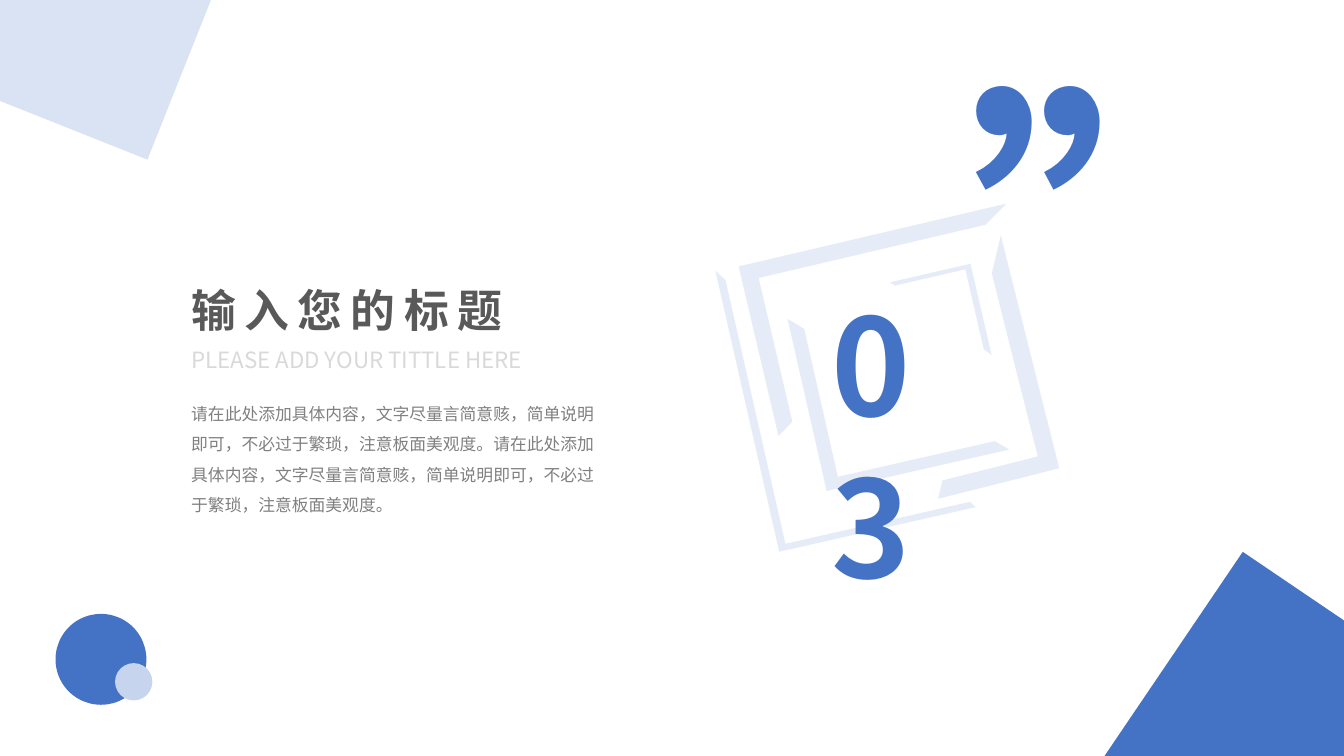
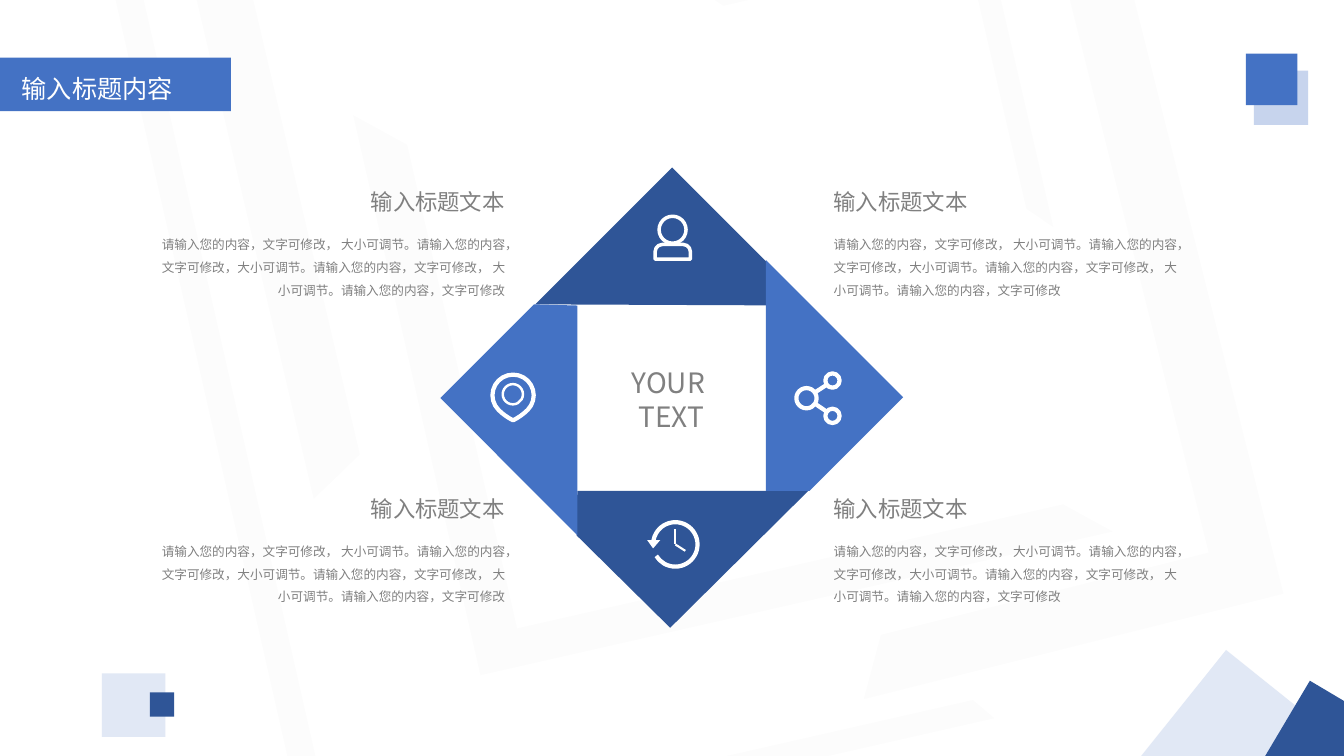
import pptx
import pptx.dml.color
import pptx.enum.shapes
import pptx.enum.text
import pptx.oxml
import pptx.oxml.ns
import pptx.util

Cm = pptx.util.Cm
Pt = pptx.util.Pt
qn = pptx.oxml.ns.qn
SHAPE = pptx.enum.shapes.MSO_SHAPE
ALIGN = pptx.enum.text.PP_ALIGN

FONT = "Noto Sans CJK SC"
BLUE = "4472C4"
NAVY = "2F5597"
PALE = "C7D4ED"
MIST = "DAE3F3"
WHITE = "FFFFFF"
GREY = "808080"


def paint(fill, color, opacity=100):
    fill.solid()
    fill.fore_color.rgb = pptx.dml.color.RGBColor.from_string(color)
    if opacity < 100:
        color_element = fill._xPr.find(qn("a:solidFill"))[0]
        alpha = pptx.oxml.parse_xml(
            f'<a:alpha {pptx.oxml.ns.nsdecls("a")} val="{opacity * 1000}"/>')
        color_element.append(alpha)


def add_text(slide, box, text, size, color, align=ALIGN.LEFT, bold=False,
             spacing=1.0, tracking=0, inset=True, rotation=0):
    shape = slide.shapes.add_textbox(*map(Cm, box))
    shape.rotation = rotation
    frame = shape.text_frame
    frame.word_wrap = True
    frame.auto_size = pptx.enum.text.MSO_AUTO_SIZE.SHAPE_TO_FIT_TEXT
    if not inset:
        frame.margin_left = frame.margin_right = 0
        frame.margin_top = frame.margin_bottom = 0
    frame.text = text
    for paragraph in frame.paragraphs:
        paragraph.alignment = align
        paragraph.line_spacing = spacing
        paragraph.font.size = Pt(size)
        paragraph.font.bold = bold
        paragraph.font.name = FONT
        paint(paragraph.font.fill, color)
        # East Asian font and letter spacing
        properties = paragraph._p.pPr.find(qn("a:defRPr"))
        properties.append(pptx.oxml.parse_xml(
            f'<a:ea {pptx.oxml.ns.nsdecls("a")} typeface="{FONT}"/>'))
        if tracking:
            properties.set("spc", str(tracking * 100))


presentation = pptx.Presentation()
presentation.slide_width = Cm(33.87)
presentation.slide_height = Cm(19.05)
blank = presentation.slide_layouts[6]
section = presentation.slides.add_slide(blank)
content = presentation.slides.add_slide(blank)

# Tilted frames: centre, size, rotation, adjustments, mirrored
FRAMES = [
    (22.64, 9.68, 4.45, 4.72, 257.2, (0.08, 0.065), False),
    (21.31, 9.80, 7.26, 5.08, 257.2, (0.039, 0.032), False),
    (23.71, 8.03, 2.36, 2.08, 77, (0.077, 0.052), False),
    (22.49, 8.06, 6.93, 4.39, 346.8, (0.091, 0.097), False),
    (24.43, 9.25, 6.05, 3.15, 75.9, (0.144, 0.134), True),
]
ORIGIN_X, ORIGIN_Y = 22.64, 9.68

# Each slide: where the origin lands, horizontal and vertical scale, colour
for slide, base_x, base_y, scale_x, scale_y, color, opacity in [
    (section, ORIGIN_X, ORIGIN_Y, 1, 1, BLUE, 13),
    (content, 18.47, 8.15, 3.46, 3.25, "A6A6A6", 3),
]:
    for x, y, width, height, rotation, adjustments, mirrored in FRAMES:
        center_x = base_x + (x - ORIGIN_X) * scale_x
        center_y = base_y + (y - ORIGIN_Y) * scale_y
        upright = 45 <= rotation % 180 < 135
        width *= scale_y if upright else scale_x
        height *= scale_x if upright else scale_y
        shape = slide.shapes.add_shape(
            SHAPE.HALF_FRAME, Cm(center_x - width / 2), Cm(center_y - height / 2),
            Cm(width), Cm(height))
        shape.rotation = rotation
        for index, value in enumerate(adjustments):
            shape.adjustments[index] = value
        if mirrored:
            shape._element.spPr.find(qn("a:xfrm")).set("flipH", "1")
        paint(shape.fill, color, opacity)
        shape.line.fill.background()
        shape.shadow.inherit = False

# Corner decorations and title band
for slide, kind, box, rotation, color, opacity in [
    (section, SHAPE.RECTANGLE, (-2.29, -4.83, 7.7, 7.7), 201.7, MIST, 100),
    (section, SHAPE.RECTANGLE, (28.75, 15.27, 7.01, 7.01), 34.1, BLUE, 100),
    (section, SHAPE.OVAL, (1.4, 15.47, 2.29, 2.29), 0, BLUE, 100),
    (section, SHAPE.OVAL, (2.9, 16.71, 0.94, 0.94), 0, PALE, 100),
    (content, SHAPE.RECTANGLE, (0, 1.45, 5.82, 1.35), 0, BLUE, 100),
    (content, SHAPE.RECTANGLE, (31.6, 1.78, 1.37, 1.37), 0, PALE, 100),
    (content, SHAPE.RECTANGLE, (29.29, 17.15, 3.81, 3.81), 308.7, PALE, 53),
    (content, SHAPE.RECTANGLE, (2.57, 16.97, 1.6, 1.6), 0, PALE, 53),
    (content, SHAPE.RECTANGLE, (3.78, 17.45, 0.61, 0.61), 0, NAVY, 100),
    (content, SHAPE.RECTANGLE, (31.4, 1.35, 1.3, 1.3), 0, BLUE, 100),
    (content, SHAPE.RECTANGLE, (32.26, 17.58, 2.31, 2.31), 300.7, NAVY, 100),
]:
    shape = slide.shapes.add_shape(kind, *map(Cm, box))
    shape.rotation = rotation
    paint(shape.fill, color, opacity)
    shape.line.fill.background()
    shape.shadow.inherit = False

# Section slide text
add_text(section, (28.63, -4.37, 4.45, 10.46), "“", 239, BLUE, bold=True, rotation=180)
add_text(section, (20.7, 6.99, 4, 4.37), "03", 96, BLUE, bold=True)
add_text(section, (4.57, 6.99, 10.06, 1.63), "输入您的标题", 32, "595959",
         align=ALIGN.JUSTIFY, bold=True, tracking=6)
add_text(section, (4.57, 8.59, 12.22, 0.94), "PLEASE ADD YOUR TITTLE HERE", 16, "D9D9D9")
sentence = "请在此处添加具体内容，文字尽量言简意赅，简单说明即可，不必过于繁琐，注意板面美观度。"
add_text(section, (4.57, 9.8, 11, 3.25), sentence * 2, 12, GREY, spacing=1.5)

# Pinwheel blades and the arrowhead of the clock
for color, points in [
    (NAVY, [(20.37, 12.37), (16.89, 15.82), (14.53, 13.49), (14.55, 12.37)]),
    (NAVY, [(13.49, 7.67), (16.94, 4.22), (20.42, 7.7)]),
    (BLUE, [(13.46, 7.67), (14.55, 7.7), (14.55, 13.49), (11.1, 10.03)]),
    (BLUE, [(20.4, 12.37), (19.3, 12.37), (19.3, 6.55), (22.76, 10.01)]),
    (WHITE, [(16.31, 13.61), (16.64, 13.61), (16.46, 13.82)]),
]:
    corners = [(Cm(x), Cm(y)) for x, y in points]
    builder = content.shapes.build_freeform(*corners[0])
    builder.add_line_segments(corners[1:])
    shape = builder.convert_to_shape()
    paint(shape.fill, color)
    shape.line.fill.background()
    shape.shadow.inherit = False

# Icon outlines: person, pin, clock, share (arc angles are in 0.6 per degree)
for kind, box, rotation, adjustments, weight in [
    (SHAPE.OVAL, (16.61, 5.45, 0.68, 0.68), 0, (), 2.5),
    (SHAPE.ROUND_2_SAME_RECTANGLE, (16.51, 6.16, 0.89, 0.37), 0, (0.5, 0), 2.5),
    (SHAPE.TEAR, (12.41, 9.44, 1.04, 1.04), 135, (0.86,), 3),
    (SHAPE.OVAL, (12.67, 9.68, 0.51, 0.51), 0, (), 1.75),
    (SHAPE.ARC, (16.46, 13.16, 1.12, 1.12), 0, (190 * 0.6, 149 * 0.6), 3),
    (SHAPE.OVAL, (20.07, 9.78, 0.51, 0.51), 0, (), 3),
    (SHAPE.OVAL, (20.8, 9.41, 0.36, 0.36), 0, (), 3),
    (SHAPE.OVAL, (20.8, 10.3, 0.36, 0.36), 0, (), 3),
]:
    shape = content.shapes.add_shape(kind, *map(Cm, box))
    shape.rotation = rotation
    for index, value in enumerate(adjustments):
        shape.adjustments[index] = value
    shape.fill.background()
    paint(shape.line.fill, WHITE)
    shape.line.width = Pt(weight)
    shape.shadow.inherit = False

# Icon strokes: clock hands and share links
for ends, weight in [
    ((17.02, 13.34, 17.02, 13.72), 1.5),
    ((17.02, 13.72, 17.27, 13.88), 1.5),
    ((20.55, 9.88, 20.83, 9.7), 3),
    ((20.55, 10.18, 20.83, 10.37), 3),
]:
    connector = content.shapes.add_connector(
        pptx.enum.shapes.MSO_CONNECTOR.STRAIGHT, *map(Cm, ends))
    paint(connector.line.fill, WHITE)
    connector.line.width = Pt(weight)
    connector._element.spPr.append(
        pptx.oxml.parse_xml(f'<a:effectLst {pptx.oxml.ns.nsdecls("a")}/>'))

# Content slide text
add_text(content, (0.3, 1.73, 5.51, 1.09), "输入标题内容", 18, WHITE, align=ALIGN.JUSTIFY)
add_text(content, (14.76, 9.22, 4.32, 1.7), "YOUR \nTEXT", 20, GREY,
         align=ALIGN.CENTER, inset=False)
body = ("请输入您的内容，文字可修改， 大小可调节。请输入您的内容，文字可修改，大小可调节。"
        "请输入您的内容，文字可修改， 大小可调节。请输入您的内容，文字可修改")
for top in (4.75, 12.47):
    for heading_left, body_left, align in [
        (21.01, 21.01, ALIGN.LEFT),
        (8.43, 4.06, ALIGN.RIGHT),
    ]:
        add_text(content, (heading_left, top, 4.29, 0.69), "输入标题文本", 16, GREY,
                 align=align, inset=False)
        add_text(content, (body_left, top + 1.04, 8.66, 1.65), body, 9, GREY,
                 align=align, spacing=1.5, inset=False)

presentation.save("out.pptx")
